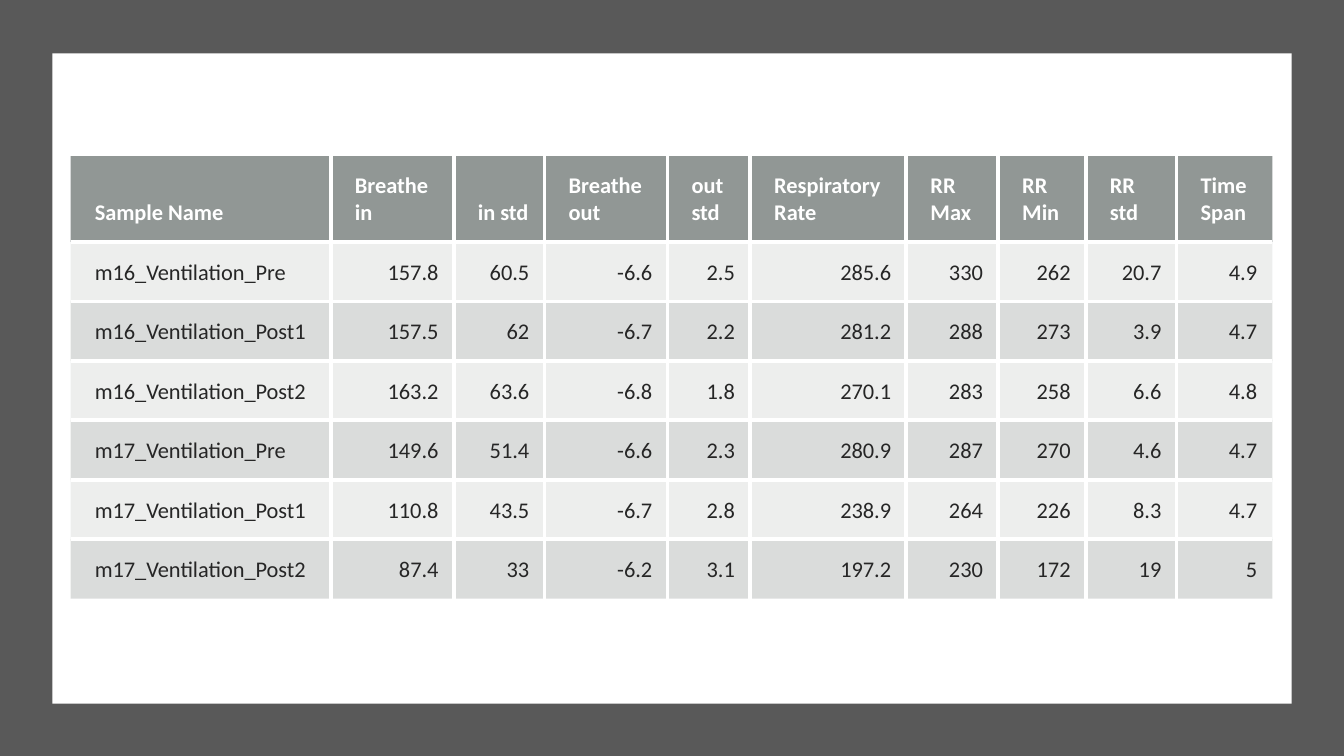
import lxml.etree
import pptx
import pptx.dml.color
import pptx.enum.shapes
import pptx.enum.text
import pptx.oxml.ns
import pptx.util

Inches = pptx.util.Inches
qn = pptx.oxml.ns.qn
align = pptx.enum.text.PP_ALIGN


def paint(fill, code, alpha=100):
    fill.solid()
    fill.fore_color.rgb = pptx.dml.color.RGBColor.from_string(code)
    if alpha < 100:
        tint = fill._xPr.find(qn("a:solidFill"))[0]
        lxml.etree.SubElement(tint, qn("a:alpha"), val=str(alpha * 1000))


def edge(props, spot, tag, drawn):
    line = lxml.etree.Element(qn("a:" + tag), w=str(pptx.util.Pt(3)))
    if drawn:
        fill = lxml.etree.SubElement(line, qn("a:solidFill"))
        lxml.etree.SubElement(fill, qn("a:srgbClr"), val="FFFFFF")
    else:
        lxml.etree.SubElement(line, qn("a:noFill"))
    props.insert(spot, line)


deck = pptx.Presentation()
deck.slide_width, deck.slide_height = Inches(13.33), Inches(7.5)
slide = deck.slides.add_slide(deck.slide_layouts[6])

for box, code in [((0, 0, 13.33, 7.5), "595959"), ((0.52, 0.53, 12.29, 6.45), "FFFFFF")]:
    panel = slide.shapes.add_shape(
        pptx.enum.shapes.MSO_SHAPE.RECTANGLE, *map(Inches, box))
    panel.shadow.inherit = False
    panel.line.fill.background()
    paint(panel.fill, code)

rows = [
    ["Sample Name", "Breathe in", "in std", "Breathe out", "out std",
     "Respiratory Rate", "RR Max", "RR Min", "RR std", "Time Span"],
    ["m16_Ventilation_Pre", 157.8, 60.5, -6.6, 2.5, 285.6, 330, 262, 20.7, 4.9],
    ["m16_Ventilation_Post1", 157.5, 62, -6.7, 2.2, 281.2, 288, 273, 3.9, 4.7],
    ["m16_Ventilation_Post2", 163.2, 63.6, -6.8, 1.8, 270.1, 283, 258, 6.6, 4.8],
    ["m17_Ventilation_Pre", 149.6, 51.4, -6.6, 2.3, 280.9, 287, 270, 4.6, 4.7],
    ["m17_Ventilation_Post1", 110.8, 43.5, -6.7, 2.8, 238.9, 264, 226, 8.3, 4.7],
    ["m17_Ventilation_Post2", 87.4, 33, -6.2, 3.1, 197.2, 230, 172, 19, 5],
]
widths = [2.58, 1.22, 0.9, 1.22, 0.82, 1.55, 0.91, 0.87, 0.9, 0.95]
heights = [0.85] + [0.59] * 6
format = {
    "margin_left": Inches(0.24),
    "margin_right": Inches(0.15),
    "margin_top": Inches(0.15),
    "margin_bottom": Inches(0.15),
    "vertical_anchor": pptx.enum.text.MSO_ANCHOR.BOTTOM,
}

table = slide.shapes.add_table(
    len(rows), len(widths), Inches(0.7), Inches(1.55),
    Inches(sum(widths)), Inches(sum(heights))).table
table.first_row = table.horz_banding = False
for column, width in zip(table.columns, widths):
    column.width = Inches(width)
for row, height in zip(table.rows, heights):
    row.height = Inches(height)

for r, row in enumerate(rows):
    for c, value in enumerate(row):
        cell = table.cell(r, c)
        for name, setting in format.items():
            setattr(cell, name, setting)
        cell.text = str(value)
        line = cell.text_frame.paragraphs[0]
        line.alignment = align.RIGHT if r and c else align.LEFT
        font = line.runs[0].font
        font.name, font.size, font.bold = "Calibri", pptx.util.Pt(16), r == 0
        paint(font.fill, "262626" if r else "FFFFFF")
        if r:
            paint(cell.fill, "878E8B", 15 if r % 2 else 30)
        else:
            paint(cell.fill, "636B68", 70)
        sides = {"lnL": c > 0, "lnR": c < len(widths) - 1,
                 "lnT": r > 0, "lnB": r < len(rows) - 1}
        for spot, (tag, drawn) in enumerate(sides.items()):
            edge(cell._tc.tcPr, spot, tag, drawn)

deck.save("out.pptx")
